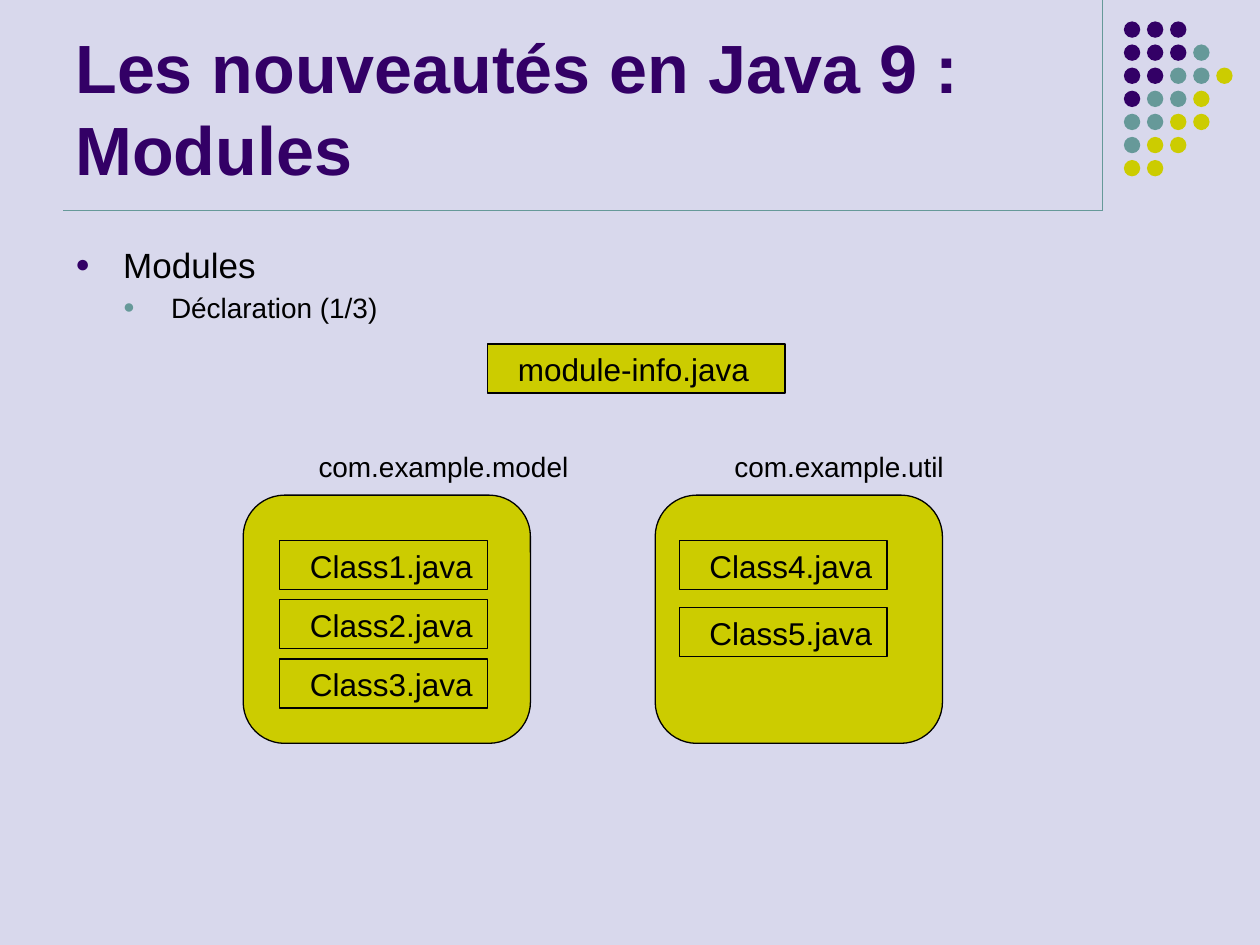
import pptx
import pptx.dml.color
import pptx.enum.shapes
import pptx.enum.text
import pptx.oxml.xmlchemy
import pptx.util

Inches = pptx.util.Inches
Pt = pptx.util.Pt
RGBColor = pptx.dml.color.RGBColor
MSO_SHAPE = pptx.enum.shapes.MSO_SHAPE
MSO_ANCHOR = pptx.enum.text.MSO_ANCHOR
PP_ALIGN = pptx.enum.text.PP_ALIGN

BACKGROUND = RGBColor(0xD8, 0xD8, 0xEC)
PURPLE = RGBColor(0x33, 0x00, 0x66)
TEAL = RGBColor(0x66, 0x99, 0x99)
OLIVE = RGBColor(0xCC, 0xCC, 0x00)
BLACK = RGBColor(0x00, 0x00, 0x00)

DOT_COLORS = {"P": PURPLE, "T": TEAL, "O": OLIVE}
DOT_ROWS = ["PPP", "PPPT", "PPTTO", "PTTO", "TTOO", "TOO", "OO"]
DOT_PITCH = 1.1 / 6


def add_element(parent, tag, **attributes):
    el = pptx.oxml.xmlchemy.OxmlElement(tag)
    for name, value in attributes.items():
        el.set(name, value)
    parent.append(el)
    return el


class SlideBuilder:
    font = "Arial"

    def __init__(self, prs):
        self.s = prs.slides.add_slide(prs.slide_layouts[6])
        fill = self.s.background.fill
        fill.solid()
        fill.fore_color.rgb = BACKGROUND

    def frame(self, sp, anchor=MSO_ANCHOR.TOP, left=0.1):
        tf = sp.text_frame
        formats = {
            "word_wrap": True,
            "vertical_anchor": anchor,
            "margin_left": Inches(left),
            "margin_right": Inches(0.1),
            "margin_top": Inches(0.05),
            "margin_bottom": Inches(0.05),
        }
        for name, value in formats.items():
            setattr(tf, name, value)
        return tf

    def run(self, p, text, size, color=BLACK, bold=False):
        p.alignment = PP_ALIGN.LEFT
        r = p.add_run()
        r.text = text
        formats = {"name": self.font, "size": Pt(size), "bold": bold}
        for name, value in formats.items():
            setattr(r.font, name, value)
        r.font.color.rgb = color

    def line(self, x1, y1, x2, y2):
        sp = self.s.shapes.add_connector(
            pptx.enum.shapes.MSO_CONNECTOR.STRAIGHT,
            *[Inches(v) for v in (x1, y1, x2, y2)])
        sp.line.color.rgb = TEAL
        sp.line.width = Pt(0.75)
        add_element(sp._element.spPr, "a:effectLst")

    def shape(self, kind, box, fill=OLIVE, outline=True):
        sp = self.s.shapes.add_shape(kind, *[Inches(v) for v in box])
        sp.shadow.inherit = False
        sp.fill.solid()
        sp.fill.fore_color.rgb = fill
        if outline:
            sp.line.color.rgb = BLACK
            sp.line.width = Pt(0.75)
        else:
            sp.line.fill.background()
        return sp

    def file_box(self, text, left, top, width=1.65):
        sp = self.shape(MSO_SHAPE.RECTANGLE, (left, top, width, 0.39))
        tf = self.frame(sp, left=0.24)
        tf.word_wrap = False
        self.run(tf.paragraphs[0], text, 18)

    def text(self, text, box, size, color=BLACK, bold=False,
             anchor=MSO_ANCHOR.TOP):
        sp = self.s.shapes.add_textbox(*[Inches(v) for v in box])
        tf = self.frame(sp, anchor)
        self.run(tf.paragraphs[0], text, size, color, bold)

    def bullets(self, items, box):
        sp = self.s.shapes.add_textbox(*[Inches(v) for v in box])
        tf = self.frame(sp)
        for level, (text, size, color) in enumerate(items):
            p = tf.add_paragraph() if level else tf.paragraphs[0]
            p.level = level
            p.space_before = Pt(3)
            self.run(p, text, size)
            pPr = p._p.get_or_add_pPr()
            pPr.set("marL", str(Inches(0.38 * (level + 1))))
            pPr.set("indent", str(-Inches(0.38)))
            add_element(add_element(pPr, "a:buClr"), "a:srgbClr",
                        val=str(color))
            add_element(pPr, "a:buSzPct", val="70000")
            add_element(pPr, "a:buFont", typeface=self.font)
            add_element(pPr, "a:buChar", char="●")

    def dots(self, left, top):
        for row, codes in enumerate(DOT_ROWS):
            for col, code in enumerate(codes):
                box = (left + col * DOT_PITCH, top + row * DOT_PITCH,
                       0.13, 0.13)
                self.shape(MSO_SHAPE.OVAL, box, DOT_COLORS[code], False)


def main():
    prs = pptx.Presentation()
    prs.slide_width = Inches(10)
    prs.slide_height = Inches(7.5)
    b = SlideBuilder(prs)

    b.line(8.75, 0, 8.75, 1.67)
    b.dots(8.92, 0.17)
    b.line(0.5, 1.67, 8.75, 1.67)
    b.text("Les nouveautés en Java 9 : Modules", (0.5, 0.13, 8.25, 1.42),
           39, PURPLE, True, MSO_ANCHOR.BOTTOM)
    b.bullets([("Modules", 20, PURPLE), ("Déclaration (1/3)", 16, TEAL)],
              (0.5, 1.88, 9, 0.8))

    b.file_box("module-info.java", 3.87, 2.73, 2.36)
    packages = [
        ("com.example.model", 2.43, 1.93, 2.22, 0.47,
         ["Class1.java", "Class2.java", "Class3.java"]),
        ("com.example.util", 5.73, 5.2, 5.39, 0.53,
         ["Class4.java", "Class5.java"]),
    ]
    for name, label_left, left, file_left, pitch, files in packages:
        b.text(name, (label_left, 3.52, 2.3, 0.36), 16)
        b.shape(MSO_SHAPE.ROUNDED_RECTANGLE, (left, 3.93, 2.28, 1.97))
        for i, file in enumerate(files):
            b.file_box(file, file_left, 4.29 + i * pitch)

    prs.save("out.pptx")


if __name__ == "__main__":
    main()
